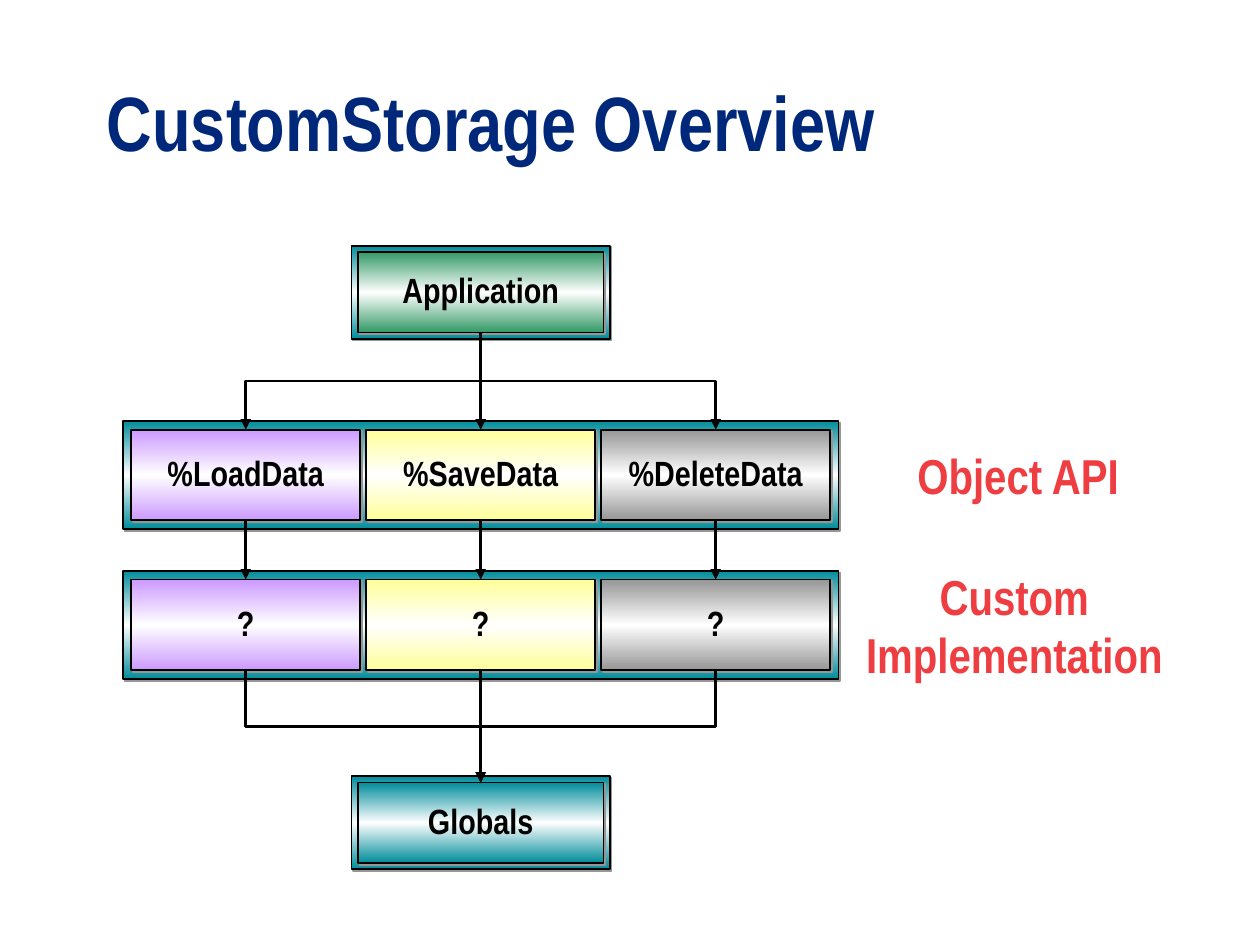
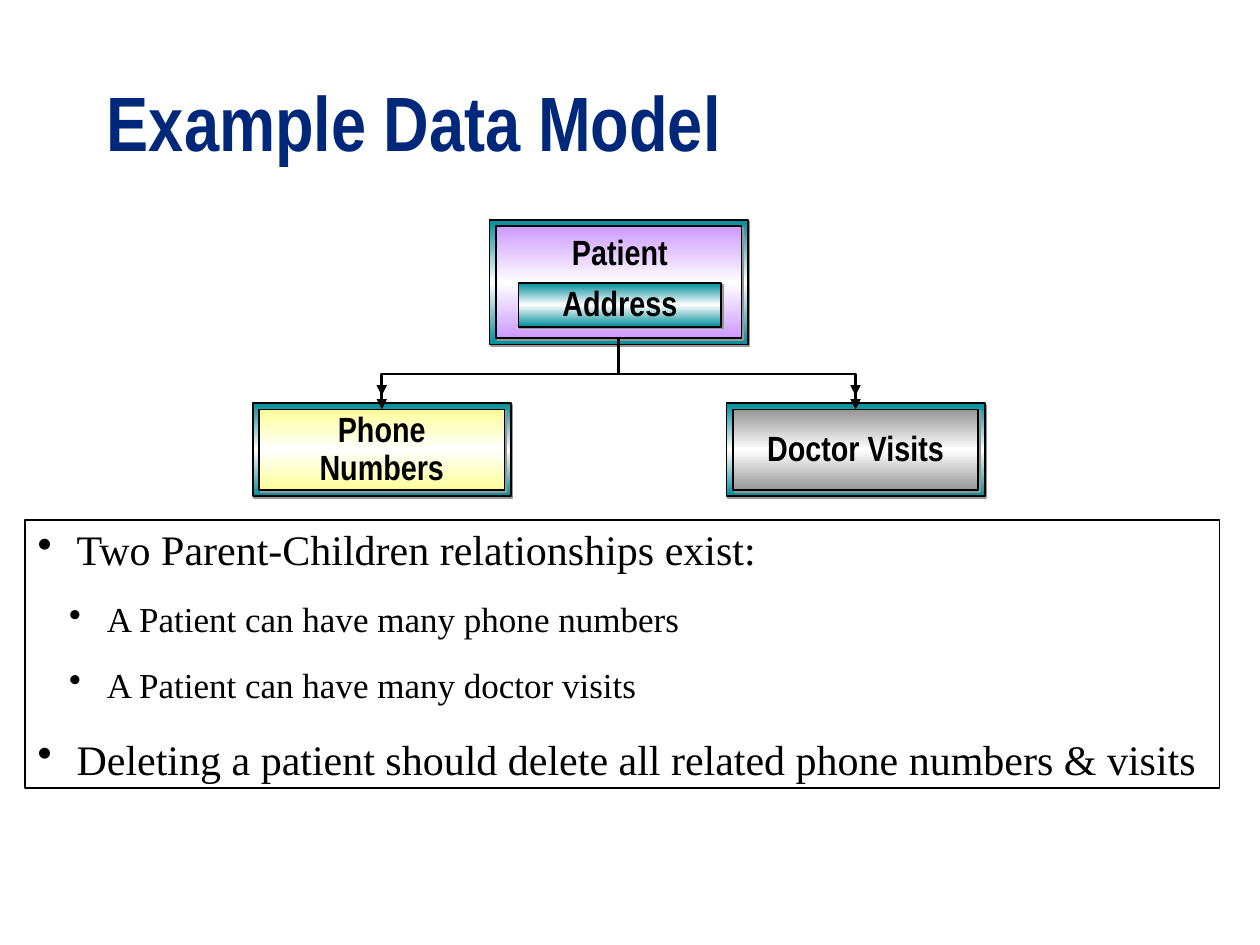
from lxml.etree import SubElement
from pptx import Presentation
from pptx.dml.color import RGBColor
from pptx.enum.shapes import MSO_CONNECTOR, MSO_SHAPE
from pptx.enum.text import MSO_ANCHOR, PP_ALIGN
from pptx.oxml import parse_xml
from pptx.oxml.ns import nsdecls, qn
from pptx.util import Inches, Pt

# Shared style
NAVY, RED, BLACK = "00287A", "EF3E42", "000000"
TEAL, GREEN, PURPLE, YELLOW, GREY = "008C9A", "339966", "CC99FF", "FFFF99", "969696"
HEAD_FONT, BODY_FONT = "Arial Narrow", "Times New Roman"

# Diagram grid: three columns, four rows (centres in inches)
COLUMNS = [1.95 + 1.865 * i for i in range(3)]
MIDDLE = COLUMNS[1]
APP_ROW, API_ROW, IMPL_ROW, GLOBALS_ROW = 2.32, 3.77, 4.96, 6.53
CELL_W, CELL_H = 1.82, 0.72
BOX_W, BOX_H, RIM = 1.95, 0.64, 0.05


def rgb(color):
    return RGBColor.from_string(color)


def place(cx, cy, w, h):
    """Left, top, width and height of a rectangle given by its centre."""
    return [Inches(v) for v in (cx - w / 2, cy - h / 2, w, h)]


def format_runs(p, size, color, font=HEAD_FONT, bold=True):
    for r in p.runs:
        r.font.size, r.font.name, r.font.bold = Pt(size), font, bold
        r.font.color.rgb = rgb(color)


def add_text(slide, text, cx, cy, w, h, size, color, align=PP_ALIGN.CENTER, wrap=True):
    tf = slide.shapes.add_textbox(*place(cx, cy, w, h)).text_frame
    tf.word_wrap, tf.vertical_anchor = wrap, MSO_ANCHOR.MIDDLE
    p = tf.paragraphs[0]
    p.text, p.alignment = text, align
    format_runs(p, size, color)


def add_title(slide, text):
    add_text(slide, text, 5.29, 0.96, 9.08, 0.84, 44, NAVY, PP_ALIGN.LEFT)


def add_block(slide, color, cx, cy, w, h, text="", pad=0.25):
    """Rectangle with a mirrored vertical gradient and a small hard shadow."""
    sp = slide.shapes.add_shape(MSO_SHAPE.RECTANGLE, *place(cx, cy, w, h))
    stops = "".join(f'<a:gs pos="{pos}"><a:srgbClr val="{c}"/></a:gs>'
                    for pos, c in ((0, color), (50000, "FFFFFF"), (100000, color)))
    sp._element.spPr.find(qn("a:prstGeom")).addnext(parse_xml(
        f'<a:gradFill {nsdecls("a")} rotWithShape="1"><a:gsLst>{stops}</a:gsLst>'
        '<a:lin ang="5400000" scaled="1"/></a:gradFill>'))
    sp.line.color.rgb, sp.line.width = rgb(BLACK), Pt(1)
    sp.shadow.inherit = False
    shadow = SubElement(sp._element.spPr.find(qn("a:effectLst")), qn("a:outerShdw"),
                        dist=str(Pt(1.4)), dir="2700000", algn="ctr", rotWithShape="0")
    SubElement(shadow, qn("a:srgbClr"), val=GREY)
    if text:
        tf = sp.text_frame
        tf.word_wrap, tf.vertical_anchor = True, MSO_ANCHOR.MIDDLE
        tf.margin_left = tf.margin_right = Inches(0.2)
        tf.margin_top = tf.margin_bottom = Inches(pad)
        p = tf.paragraphs[0]
        p.text, p.alignment, p.line_spacing = text, PP_ALIGN.CENTER, 0.9
        format_runs(p, 20, BLACK)


def add_framed(slide, color, cx, cy, text="", h=BOX_H):
    add_block(slide, TEAL, cx, cy, BOX_W + 2 * RIM, h + 2 * RIM)
    add_block(slide, color, cx, cy, BOX_W, h, text)


def add_band(slide, cy, texts):
    add_block(slide, TEAL, MIDDLE, cy, 5.68, 0.86)
    for cx, color, text in zip(COLUMNS, (PURPLE, YELLOW, GREY), texts):
        add_block(slide, color, cx, cy, CELL_W, CELL_H, text)


def add_arrow(slide, x1, y1, x2, y2):
    """Downward arrow: straight in one column, otherwise bent halfway down."""
    if x1 == x2:
        kind, ends = MSO_CONNECTOR.STRAIGHT, (x1, y1, x2, y2)
    else:
        # An elbow starts sideways, so it is laid flat and turned a quarter
        kind = MSO_CONNECTOR.ELBOW
        cx, cy = (x1 + x2) / 2, (y1 + y2) / 2
        run, rise = (y2 - y1) / 2, abs(x2 - x1) / 2
        if x2 > x1:
            run = -run
        ends = (cx - run, cy - rise, cx + run, cy + rise)
    line = slide.shapes.add_connector(kind, *[Inches(v) for v in ends])
    spPr = line._element.spPr
    if x1 != x2:
        spPr.find(qn("a:xfrm")).set("rot", "16200000" if x2 > x1 else "5400000")
    line.line.color.rgb, line.line.width = rgb(BLACK), Pt(1.5)
    SubElement(line.line._get_or_add_ln(), qn("a:tailEnd"), type="triangle")
    SubElement(spPr, qn("a:effectLst"))


def add_bullets(slide, items, cx, cy, w, h):
    sp = slide.shapes.add_shape(MSO_SHAPE.RECTANGLE, *place(cx, cy, w, h))
    sp.fill.background()
    sp.line.color.rgb, sp.line.width = rgb(BLACK), Pt(1)
    sp.shadow.inherit = False
    tf = sp.text_frame
    tf.word_wrap, tf.vertical_anchor = True, MSO_ANCHOR.MIDDLE
    for i, (level, text) in enumerate(items):
        p = tf.add_paragraph() if i else tf.paragraphs[0]
        p.text, p.level, p.alignment = text, level, PP_ALIGN.LEFT
        size, margin, hang, gap = ((24, 0.31, 0.31, 16), (20, 0.55, 0.3, 13.5))[level]
        pPr = p._p.get_or_add_pPr()
        pPr.set("marL", str(Inches(margin)))
        pPr.set("indent", str(-Inches(hang)))
        SubElement(pPr, qn("a:buChar"), char="•")
        if i:
            p.space_before = Pt(gap)
        format_runs(p, size, BLACK, BODY_FONT, False)


def build_overview(slide):
    add_title(slide, "CustomStorage Overview")
    # Boxes and layer labels
    add_framed(slide, GREEN, MIDDLE, APP_ROW, "Application")
    add_band(slide, API_ROW, ("%LoadData", "%SaveData", "%DeleteData"))
    add_band(slide, IMPL_ROW, "???")
    add_framed(slide, TEAL, MIDDLE, GLOBALS_ROW, "Globals")
    add_text(slide, "Object API", 8.08, API_ROW, 2.47, 0.57, 28, RED)
    add_text(slide, "Custom Implementation", 8.05, IMPL_ROW, 2.57, 1.04, 28, RED)
    # Arrows between the rows
    half_cell, half_box = CELL_H / 2, BOX_H / 2
    for cx in COLUMNS:
        add_arrow(slide, MIDDLE, APP_ROW + half_box, cx, API_ROW - half_cell)
        add_arrow(slide, cx, API_ROW + half_cell, cx, IMPL_ROW - half_cell)
        add_arrow(slide, cx, IMPL_ROW + half_cell, MIDDLE, GLOBALS_ROW - half_box)


def build_data_model(slide):
    add_title(slide, "Example Data Model")
    # Parent with its embedded address
    patient_x, patient_y, patient_h, child_y = 4.91, 2.24, 0.89, 3.57
    add_framed(slide, PURPLE, patient_x, patient_y, h=patient_h)
    add_text(slide, "Patient", 4.92, 2, 0.96, 0.44, 20, BLACK, wrap=False)
    add_block(slide, TEAL, 4.92, 2.42, 1.61, 0.35, "Address", 0.1)
    # Children, each with a double arrowhead
    for cx, color, text in ((3.03, YELLOW, "Phone Numbers"), (6.79, GREY, "Doctor Visits")):
        add_framed(slide, color, cx, child_y, text)
        add_arrow(slide, patient_x, patient_y + patient_h / 2, cx, child_y - BOX_H / 2)
        add_arrow(slide, cx, 3.02, cx, 3.14)
    add_bullets(slide, [
        (0, "Two Parent-Children relationships exist:"),
        (1, "A Patient can have many phone numbers"),
        (1, "A Patient can have many doctor visits"),
        (0, "Deleting a patient should delete all related phone numbers & visits"),
    ], 4.94, 5.19, 9.48, 2.13)


def main():
    prs = Presentation()
    prs.slide_width, prs.slide_height = Inches(10), Inches(7.5)
    for build in (build_overview, build_data_model):
        build(prs.slides.add_slide(prs.slide_layouts[6]))
    prs.save("out.pptx")


if __name__ == "__main__":
    main()
